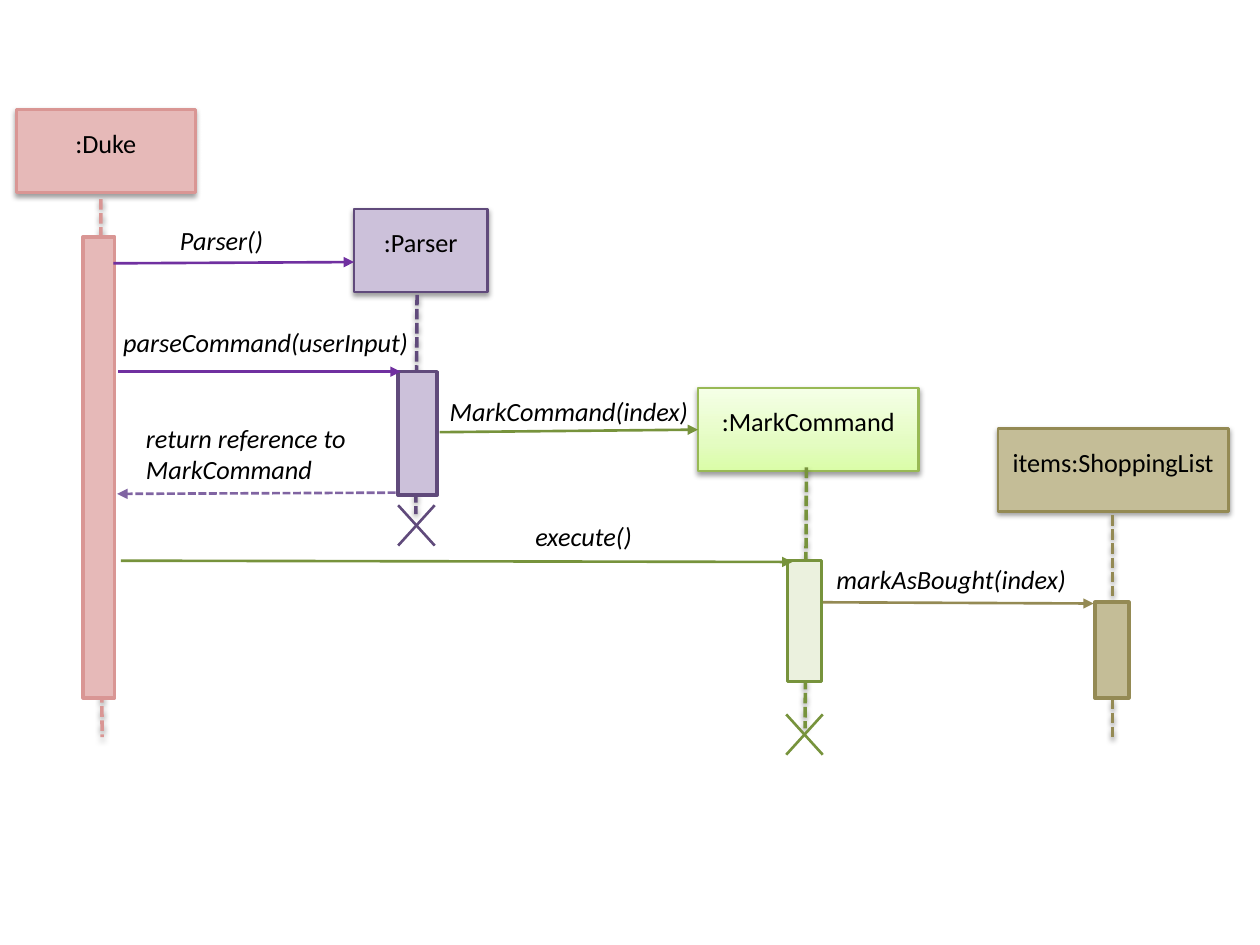
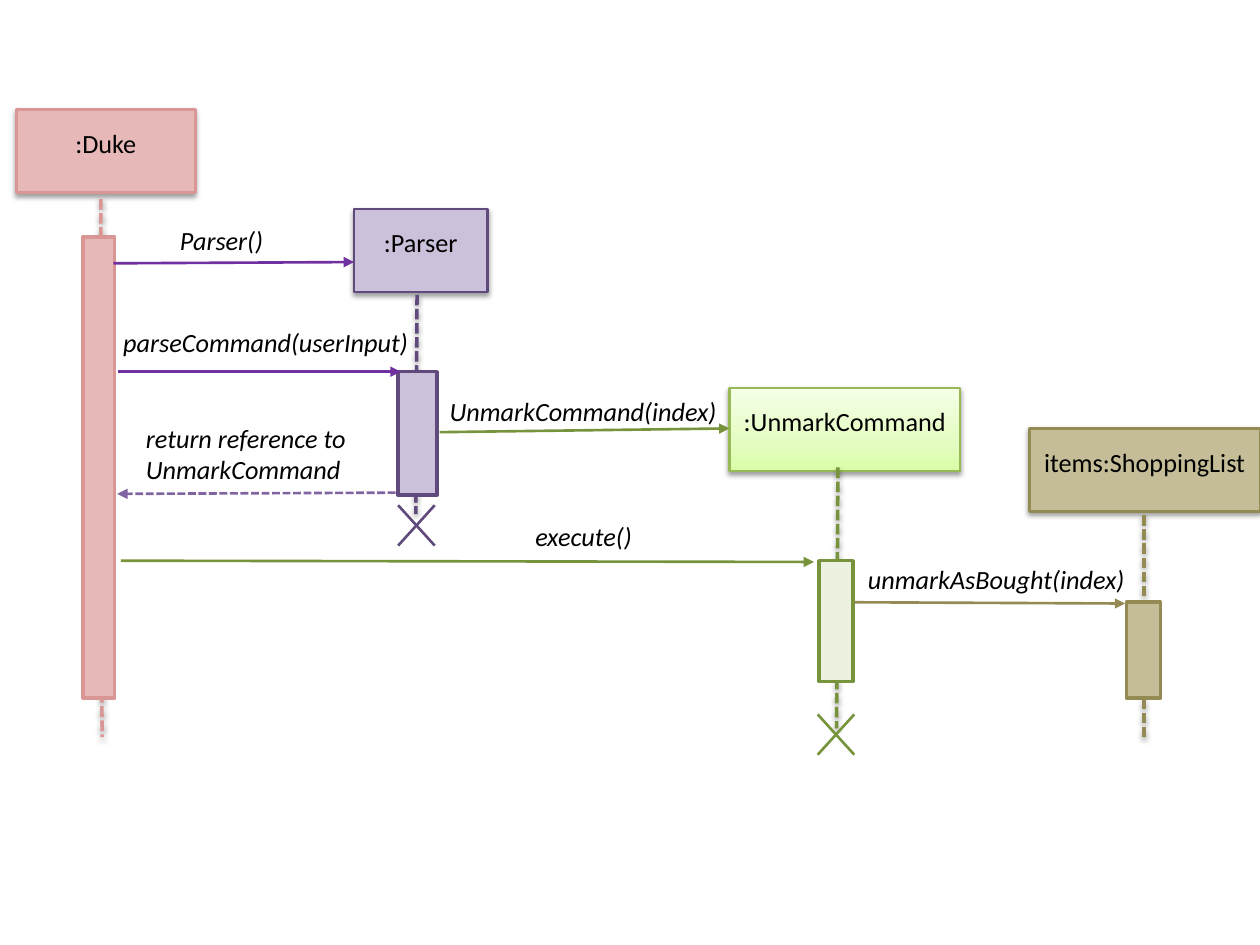
from copy import deepcopy
from pptx import Presentation, util as u
from pptx.dml import color
from pptx.enum import dml, shapes, text
from pptx.oxml import ns
from lxml import etree

ROSE, PURPLE, GREEN, TAN = "D99694", "604A7B", "77933C", "948A54"
VIOLET, LILAC = "7030A0", "8064A2"
LIME = [(0, "DAFDA7"), (0.35, "E4FCC2"), (1, "F5FFE7")]
HEAD_H = 0.66
THIN, THICK = 1.5, 2


def rgb(value):
    return color.RGBColor.from_string(value)


def assign(obj, values):
    for name, value in values.items():
        setattr(obj, name, value)


def add_xml(parent, tag, **attrs):
    return etree.SubElement(parent, ns.qn(tag), attrs)


def set_effect(sp, shadow):
    effects = add_xml(sp._element.spPr, "a:effectLst")
    if shadow:
        outer = add_xml(effects, "a:outerShdw", blurRad=str(u.Pt(3.1)), dist=str(u.Pt(1.6)),
                        dir="5400000", rotWithShape="0")
        add_xml(add_xml(outer, "a:srgbClr", val="000000"), "a:alpha", val="38000")


def set_fill(sp, fill):
    if isinstance(fill, str):
        sp.fill.solid()
        sp.fill.fore_color.rgb = rgb(fill)
        return
    sp.fill.gradient()
    sp.fill.gradient_angle = 90
    stop_list = sp._element.spPr.find(".//" + ns.qn("a:gsLst"))
    stop_list.insert(1, deepcopy(stop_list[0]))
    for stop, (position, value) in zip(sp.fill.gradient_stops, fill):
        stop.position = position
        stop.color.rgb = rgb(value)


def write(tf, words, margins, italic, align):
    assign(tf, dict(zip(("margin_left", "margin_top", "margin_right", "margin_bottom"),
                        map(u.Inches, margins))))
    assign(tf, {"word_wrap": True, "vertical_anchor": text.MSO_ANCHOR.TOP})
    p = tf.paragraphs[0]
    p.alignment = align
    r = p.add_run()
    r.text = words
    assign(r.font, {"name": "Calibri", "size": u.Pt(15), "italic": italic})
    r.font.color.rgb = rgb("000000")


def rect(s, box, fill, edge, width, shadow=False):
    sp = s.shapes.add_shape(shapes.MSO_SHAPE.RECTANGLE, *map(u.Inches, box))
    set_fill(sp, fill)
    sp.line.color.rgb = rgb(edge)
    sp.line.width = u.Pt(width)
    set_effect(sp, shadow)
    return sp


def line(s, start, end, edge, width=THIN, dashed=False, shadow=False, arrow=False):
    cx = s.shapes.add_connector(shapes.MSO_CONNECTOR.STRAIGHT, *map(u.Inches, (*start, *end)))
    cx.line.color.rgb = rgb(edge)
    cx.line.width = u.Pt(width)
    if dashed:
        cx.line.dash_style = dml.MSO_LINE.SQUARE_DOT
    if arrow:
        add_xml(cx.line._get_or_add_ln(), "a:tailEnd", type="triangle")
    set_effect(cx, shadow)


def participant(s, name, head, fill, edge, lifeline, bar, bar_fill=None, head_edge=None):
    sp = rect(s, (*head, HEAD_H), fill, head_edge or edge, THIN, shadow=True)
    write(sp.text_frame, name, (0.1, 0.14, 0.1, 0.2), False, text.PP_ALIGN.CENTER)
    line(s, *lifeline, edge, THICK, dashed=True, shadow=True)
    rect(s, bar, bar_fill or fill, edge, THICK)


def cross(s, box, edge):
    x, y, w, h = box
    line(s, (x + w, y + h), (x, y), edge)
    line(s, (x + w, y), (x, y + h), edge)


def message(s, words, box, start, end, edge, dashed=False):
    tb = s.shapes.add_textbox(*map(u.Inches, box))
    write(tb.text_frame, words, (0.1, 0.05, 0.1, 0.05), True, text.PP_ALIGN.LEFT)
    line(s, start, end, edge, dashed=dashed, arrow=True)


def sequence_slide(prs, command, action, dx, head_w, create_w, action_w, create_y, execute_x):
    s = prs.slides.add_slide(prs.slide_layouts[6])
    participant(s, ":Duke", (0.13, 0.87, 1.42), "E6B9B8", ROSE,
                ((0.8, 1.58), (0.81, 5.85)), (0.66, 1.88, 0.25, 3.66))
    participant(s, ":Parser", (2.81, 1.66, 1.06), "CCC1DA", PURPLE,
                ((3.31, 2.34), (3.3, 4.08)), (3.16, 2.95, 0.31, 0.98))
    participant(s, ":" + command, (5.54 + dx, 3.08, head_w), LIME, GREEN,
                ((6.4 + dx, 3.71), (6.39 + dx, 5.78)), (6.25 + dx, 4.45, 0.27, 0.96),
                "EBF1DE", "98B955")
    participant(s, "items:ShoppingList", (7.92 + dx, 3.4, 1.83), "C4BD97", TAN,
                ((8.83 + dx, 4.09), (8.83 + dx, 5.85)), (8.69 + dx, 4.78, 0.27, 0.76))
    cross(s, (3.16, 4.01, 0.29, 0.32), PURPLE)
    cross(s, (6.24 + dx, 5.67, 0.29, 0.32), GREEN)

    message(s, "Parser()", (1.33, 1.73, 1.29, 0.35), (0.9, 2.09), (2.81, 2.08), VIOLET)
    message(s, "parseCommand(userInput)", (0.88, 2.54, 2.73, 0.35),
            (0.94, 2.95), (3.18, 2.95), VIOLET)
    message(s, command + "(index)", (3.47, 3.09, create_w, 0.35),
            (3.49, 3.43), (5.54 + dx, create_y), GREEN)
    message(s, "return reference to " + command, (1.06, 3.3, 1.87, 0.61),
            (3.14, 3.91), (0.93, 3.92), LILAC, dashed=True)
    message(s, "execute()", (4.15, 4.08, 0.97, 0.35), (0.96, 4.45), (execute_x, 4.46), GREEN)
    message(s, action + "(index)", (6.54 + dx, 4.42, action_w, 0.35),
            (6.53 + dx, 4.78), (8.68 + dx, 4.79), TAN)


prs = Presentation()
assign(prs, {"slide_width": u.Inches(10), "slide_height": u.Inches(7.5)})
sequence_slide(prs, "MarkCommand", "markAsBought", dx=0, head_w=1.75, create_w=2.28,
               action_w=2.08, create_y=3.41, execute_x=6.29)
sequence_slide(prs, "UnmarkCommand", "unmarkAsBought", dx=0.25, head_w=1.83, create_w=2.48,
               action_w=2.26, create_y=3.4, execute_x=6.46)
prs.save("out.pptx")
